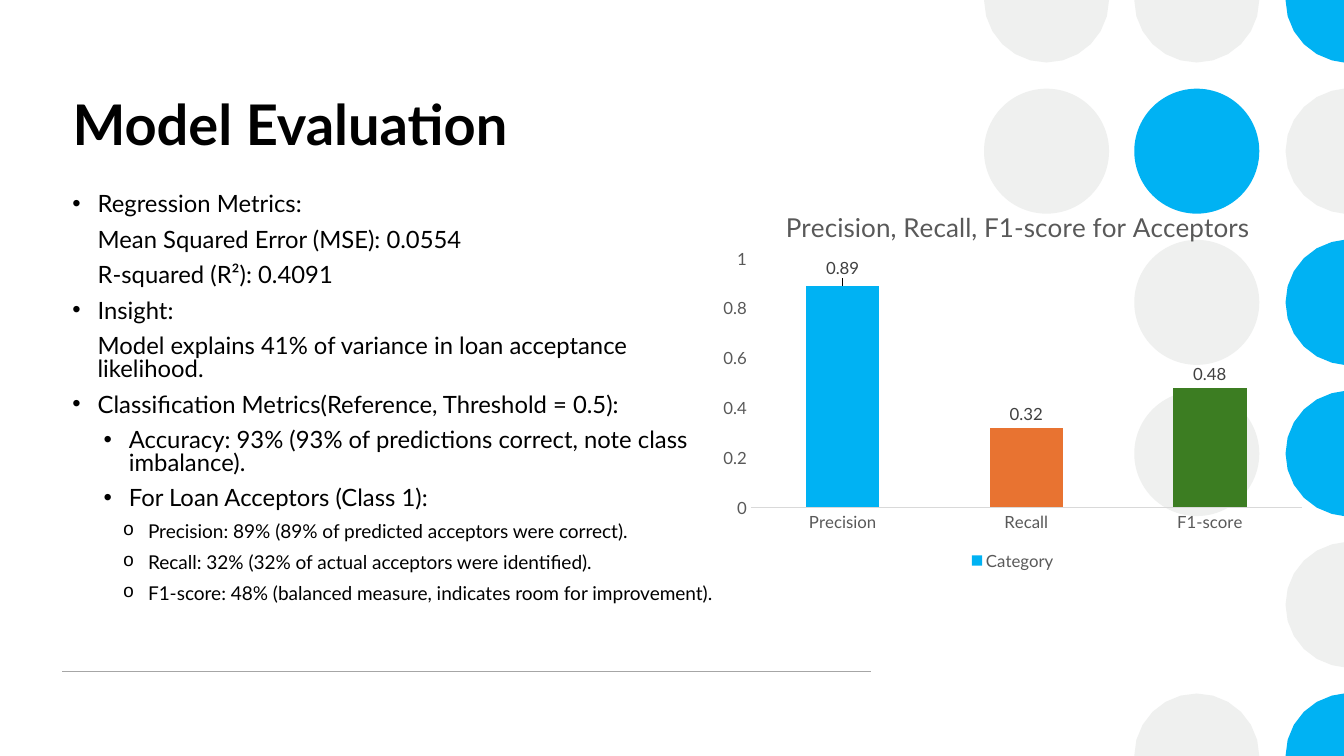
from math import cos, sin, pi
from pptx import Presentation
from pptx.chart.data import CategoryChartData as Data
from pptx.dml.color import RGBColor as RGB
from pptx.enum.chart import XL_CHART_TYPE as Kind, XL_LABEL_POSITION as Spot
from pptx.enum.chart import XL_LEGEND_POSITION as Side, XL_TICK_MARK as Tick
from pptx.enum.shapes import MSO_CONNECTOR as Link, MSO_SHAPE as Form
from pptx.enum.text import MSO_ANCHOR as Anchor, MSO_AUTO_SIZE as Fit, PP_ALIGN as Align
from pptx.oxml import parse_xml
from pptx.oxml.ns import nsdecls, qn
from pptx.util import Inches, Pt

WIDE, HIGH = 13.33, 7.5
RADIUS, PITCH = 0.62, 1.5
STEPS, SLACK = 24, 0.05
COLUMNS = (10.38, 11.87, 13.37)
DOTS = ("ggb", "gbg", " gb", " gb", "  g", " gb")

LEVELS = {
    "top": (0.25, -0.25, "•", 17),
    "plain": (0.25, 0, None, 17),
    "sub": (0.56, -0.25, "•", 17),
    "leaf": (0.75, -0.25, "o", 13.6),
}
POINTS = (
    ("top", "Regression Metrics:"),
    ("plain", "Mean Squared Error (MSE): 0.0554"),
    ("plain", "R-squared (R²): 0.4091"),
    ("top", "Insight:"),
    ("plain", "Model explains 41% of variance in loan acceptance likelihood."),
    ("top", "Classification Metrics(Reference, Threshold = 0.5):"),
    ("sub", "Accuracy: 93% (93% of predictions correct, note class imbalance)."),
    ("sub", "For Loan Acceptors (Class 1):"),
    ("leaf", "Precision: 89% (89% of predicted acceptors were correct)."),
    ("leaf", "Recall: 32% (32% of actual acceptors were identified)."),
    ("leaf", "F1-score: 48% (balanced measure, indicates room for improvement)."),
)
BARS = (
    ("Precision", 0.89, "00B2F3", -0.08),
    ("Recall", 0.32, "E87331", -0.07),
    ("F1-score", 0.48, "3C7D22", -0.07),
)


def color(code):
    return RGB.from_string(code)


def apply(item, **values):
    for name, value in values.items():
        setattr(item, name, value)


def box(*sizes):
    return [Inches(size) for size in sizes]


def place(**values):
    target = '<c:layoutTarget val="inner"/>' if "w" in values else ""
    modes = '<c:xMode val="edge"/><c:yMode val="edge"/>' if values["x"] else ""
    parts = "".join(f'<c:{key} val="{value}"/>' for key, value in values.items())
    return parse_xml(f'<c:layout {nsdecls("c")}><c:manualLayout>{target}{modes}{parts}'
                     '</c:manualLayout></c:layout>')


def settle(parent, layout, after=None):
    for old in parent.findall(qn("c:layout")):
        parent.remove(old)
    if after:
        parent.find(qn(after)).addnext(layout)
    else:
        parent.insert(0, layout)


def outline(x, y):
    rim = []
    for step in range(STEPS):
        turn = 2 * pi * step / STEPS
        across, down = x + RADIUS * cos(turn), y + RADIUS * sin(turn)
        right, beyond = across - WIDE, max(-down, down - HIGH)
        if max(right, beyond) < SLACK or min(right, beyond) > 0:
            rim.append(tuple(box(min(across, WIDE), min(max(down, 0), HIGH))))
    return list(dict.fromkeys(rim))


class Deck:
    face = "Lato"
    inks = {"g": "EFF0EF", "b": "00B2F3"}

    def __init__(self):
        self.show = Presentation()
        apply(self.show, slide_width=Inches(WIDE), slide_height=Inches(HIGH))
        self.slide = self.show.slides.add_slide(self.show.slide_layouts[5])
        self.shapes = self.slide.shapes

    def font(self, font, size, ink="000000", bold=False):
        apply(font, name=self.face, size=Pt(size), bold=bold)
        font.color.rgb = color(ink)

    def paint(self, item, ink):
        item.fill.solid()
        item.fill.fore_color.rgb = color(ink)

    def dot(self, x, y, ink):
        if RADIUS <= y <= HIGH - RADIUS and x + RADIUS <= WIDE:
            shape = self.shapes.add_shape(
                Form.OVAL, *box(x - RADIUS, y - RADIUS, 2 * RADIUS, 2 * RADIUS))
        else:
            rim = outline(x, y)
            pen = self.shapes.build_freeform(*rim[0])
            pen.add_line_segments(rim[1:], close=True)
            shape = pen.convert_to_shape()
        self.paint(shape, ink)
        shape.line.fill.background()
        shape.shadow.inherit = False

    def dots(self):
        for row, marks in enumerate(DOTS):
            for x, mark in zip(COLUMNS, marks):
                if mark in self.inks:
                    self.dot(x, row * PITCH, self.inks[mark])

    def rule(self, x, y, end):
        line = self.shapes.add_connector(Link.STRAIGHT, *box(x, y, end, y))
        line.line.width = Pt(1)
        line.line.color.rgb = color("A6A6A6")
        line._element.spPr.append(parse_xml(f'<a:effectLst {nsdecls("a")}/>'))

    def title(self, text, *area):
        head = self.shapes.title
        apply(head, **dict(zip(("left", "top", "width", "height"), box(*area))))
        apply(head.text_frame, text=text, word_wrap=True, auto_size=Fit.NONE,
              vertical_anchor=Anchor.TOP)
        para = head.text_frame.paragraphs[0]
        para.alignment = Align.LEFT
        self.font(para.runs[0].font, 40, bold=True)

    def body(self, points, *area):
        frame = self.shapes.add_textbox(*box(*area)).text_frame
        apply(frame, word_wrap=True, auto_size=Fit.NONE, vertical_anchor=Anchor.TOP)
        for index, (level, text) in enumerate(points):
            para = frame.add_paragraph() if index else frame.paragraphs[0]
            left, hang, mark, size = LEVELS[level]
            apply(para, line_spacing=0.8, space_before=Pt(9), level=int(level == "leaf"))
            props = para._p.get_or_add_pPr()
            props.set("marL", str(Inches(left)))
            props.set("indent", str(Inches(hang)))
            if mark:
                face = "Courier New" if mark == "o" else "Arial"
                for tag, key, value in (("buFont", "typeface", face), ("buChar", "char", mark)):
                    props.append(parse_xml(f'<a:{tag} {nsdecls("a")} {key}="{value}"/>'))
            run = para.add_run()
            run.text = text
            self.font(run.font, size)

    def chart(self, name, bars, *area):
        data = Data()
        data.categories = [bar[0] for bar in bars]
        data.add_series("Category", [bar[1] for bar in bars])
        chart = self.shapes.add_chart(Kind.COLUMN_STACKED, *box(*area), data).chart
        self.font(chart.font, 10)
        apply(chart, has_title=True, has_legend=True)
        head = chart.chart_title
        head.text_frame.text = name
        self.font(head.text_frame.paragraphs[0].runs[0].font, 18.6, "595959")
        settle(head._element, place(x=0.115, y=0.06), "c:tx")
        apply(chart.legend, position=Side.BOTTOM, include_in_layout=False)
        self.font(chart.legend.font, 12, "595959")
        for axis in (chart.category_axis, chart.value_axis):
            apply(axis, major_tick_mark=Tick.NONE, minor_tick_mark=Tick.NONE,
                  has_major_gridlines=False)
            self.font(axis.tick_labels.font, 12, "595959")
        base = chart.category_axis.format.line
        base.width = Pt(0.75)
        base.color.rgb = color("D9D9D9")
        scale = chart.value_axis
        apply(scale, minimum_scale=0, maximum_scale=1, major_unit=0.2)
        scale.format.line.fill.background()
        apply(scale.tick_labels, number_format="General", number_format_is_linked=False)
        plot = chart.plots[0]
        apply(plot, gap_width=150, overlap=100, vary_by_categories=False)
        self.bars(plot.series[0], bars)
        settle(plot._element.getparent(), place(x=0.065, y=0.2, w=0.915, h=0.63))

    def bars(self, series, bars):
        self.paint(series.format, bars[0][2])
        tags = series.data_labels
        apply(tags, show_value=True, position=Spot.INSIDE_END)
        self.font(tags.font, 12, "404040")
        for index, (_, _, ink, shift) in enumerate(bars):
            point = series.points[index]
            if index:
                self.paint(point.format, ink)
            point.data_label.position = Spot.INSIDE_END
            self.font(point.data_label.font, 12, "404040")
            node = series._element.findall(".//" + qn("c:dLbl"))[index]
            settle(node, place(x=0, y=shift), "c:idx")


def main():
    deck = Deck()
    deck.dots()
    deck.rule(0.62, 6.66, 8.64)
    deck.title("Model Evaluation", 0.62, 0.84, 8.02, 1.39)
    deck.body(POINTS, 0.62, 1.88, 6.57, 4.42)
    deck.chart("Precision, Recall, F1-score for Acceptors", BARS, 7.06, 1.78, 5.97, 3.92)
    deck.show.save("out.pptx")


if __name__ == "__main__":
    main()
